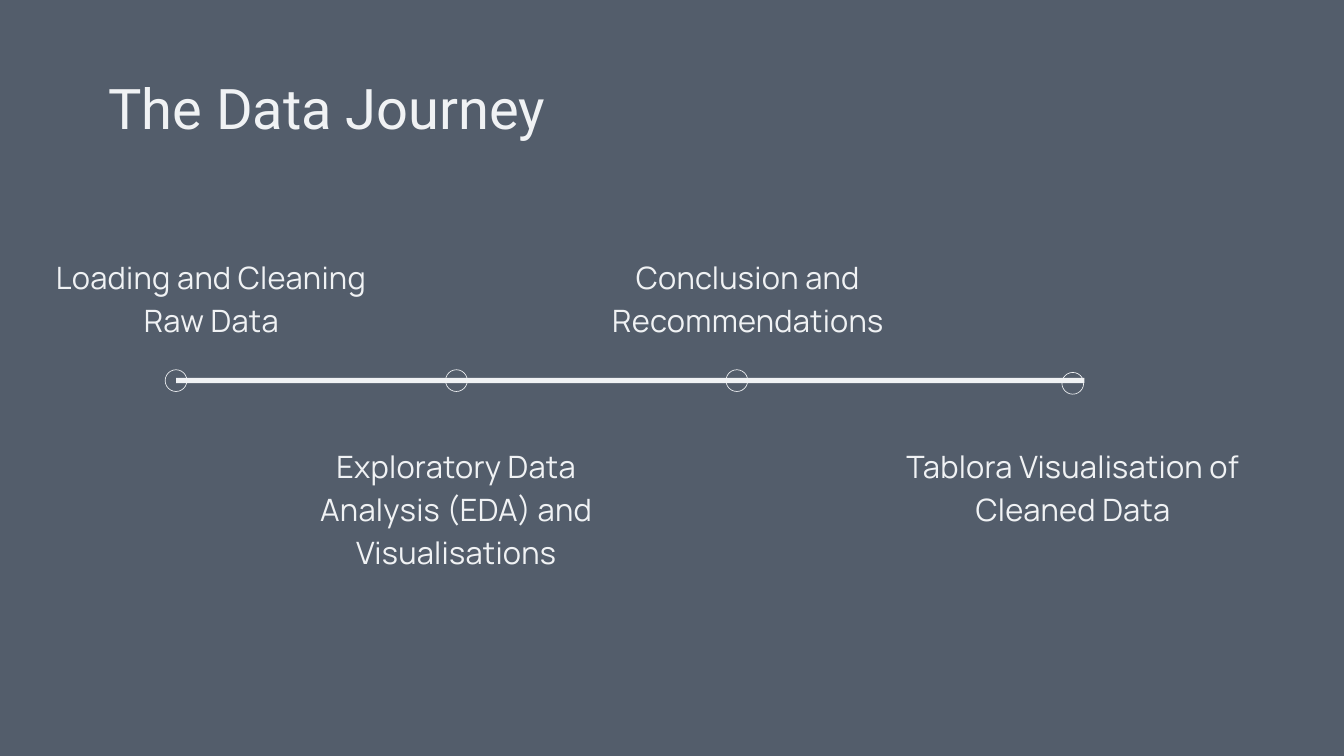
import pptx
import pptx.dml.color
import pptx.enum.shapes
import pptx.enum.text
import pptx.util

Pt = pptx.util.Pt
SHAPES = pptx.enum.shapes.MSO_SHAPE

BACKGROUND = "535D6B"
LIGHT = "F0F2F4"

TITLE = "The Data Journey"
ABOVE, BELOW = 270.7, 473
# label, label centre, label top, label width, label height, ring centre x, ring drop
STEPS = [
    ("Loading and Cleaning Raw Data", 226.4, ABOVE, 339, 90, 188.6, 0),
    ("Exploratory Data Analysis (EDA) and Visualisations", 489, BELOW, 390, 136, 489, 0),
    ("Conclusion and Recommendations", 801.4, ABOVE, 363, 90, 789.5, 0),
    ("Tablora Visualisation of Cleaned Data", 1149.8, BELOW, 394.6, 90, 1149.4, 2.9),
]
LINE_LEFT, LINE_RIGHT, LINE_MIDDLE, LINE_HEIGHT = 188.6, 1162, 407.8, 5.6
RING_SIZE, RING_THICKNESS = 24, 0.72


def color(hex_string):
    return pptx.dml.color.RGBColor.from_string(hex_string)


def add_light_shape(slide, kind, left, top, width, height):
    shape = slide.shapes.add_shape(kind, Pt(left), Pt(top), Pt(width), Pt(height))
    shape.shadow.inherit = False
    shape.fill.solid()
    shape.fill.fore_color.rgb = color(LIGHT)
    shape.line.fill.background()
    return shape


def add_centred_text(slide, text, box, font_name, size, line_spacing, tracking=0):
    """Tracking is in hundredths of a point."""
    shape = slide.shapes.add_textbox(*(Pt(length) for length in box))
    frame = shape.text_frame
    frame.word_wrap = True
    frame.margin_left = frame.margin_right = frame.margin_top = frame.margin_bottom = 0
    paragraph = frame.paragraphs[0]
    paragraph.alignment = pptx.enum.text.PP_ALIGN.CENTER
    paragraph.line_spacing = Pt(line_spacing)
    run = paragraph.add_run()
    run.text = text
    run.font.name = font_name
    run.font.size = Pt(size)
    run.font.color.rgb = color(LIGHT)
    if tracking:
        run._r.get_or_add_rPr().set("spc", str(tracking))


def main():
    presentation = pptx.Presentation()
    presentation.slide_width, presentation.slide_height = Pt(1440), Pt(810)
    slide = presentation.slides.add_slide(presentation.slide_layouts[6])
    slide.background.fill.solid()
    slide.background.fill.fore_color.rgb = color(BACKGROUND)

    add_light_shape(slide, SHAPES.RECTANGLE, LINE_LEFT, LINE_MIDDLE - LINE_HEIGHT / 2,
                    LINE_RIGHT - LINE_LEFT, LINE_HEIGHT)
    for label, centre, top, width, height, ring_x, drop in STEPS:
        ring = add_light_shape(slide, SHAPES.DONUT, ring_x - RING_SIZE / 2,
                               LINE_MIDDLE + drop - RING_SIZE / 2, RING_SIZE, RING_SIZE)
        ring.adjustments[0] = RING_THICKNESS / RING_SIZE
        add_centred_text(slide, label, (centre - width / 2, top, width, height),
                         "Manrope", 33, 46.2, tracking=30)
    add_centred_text(slide, TITLE, (80.6, 79.2, 539.3, 73.4), "Roboto", 60, 72)

    presentation.save("out.pptx")


if __name__ == "__main__":
    main()
